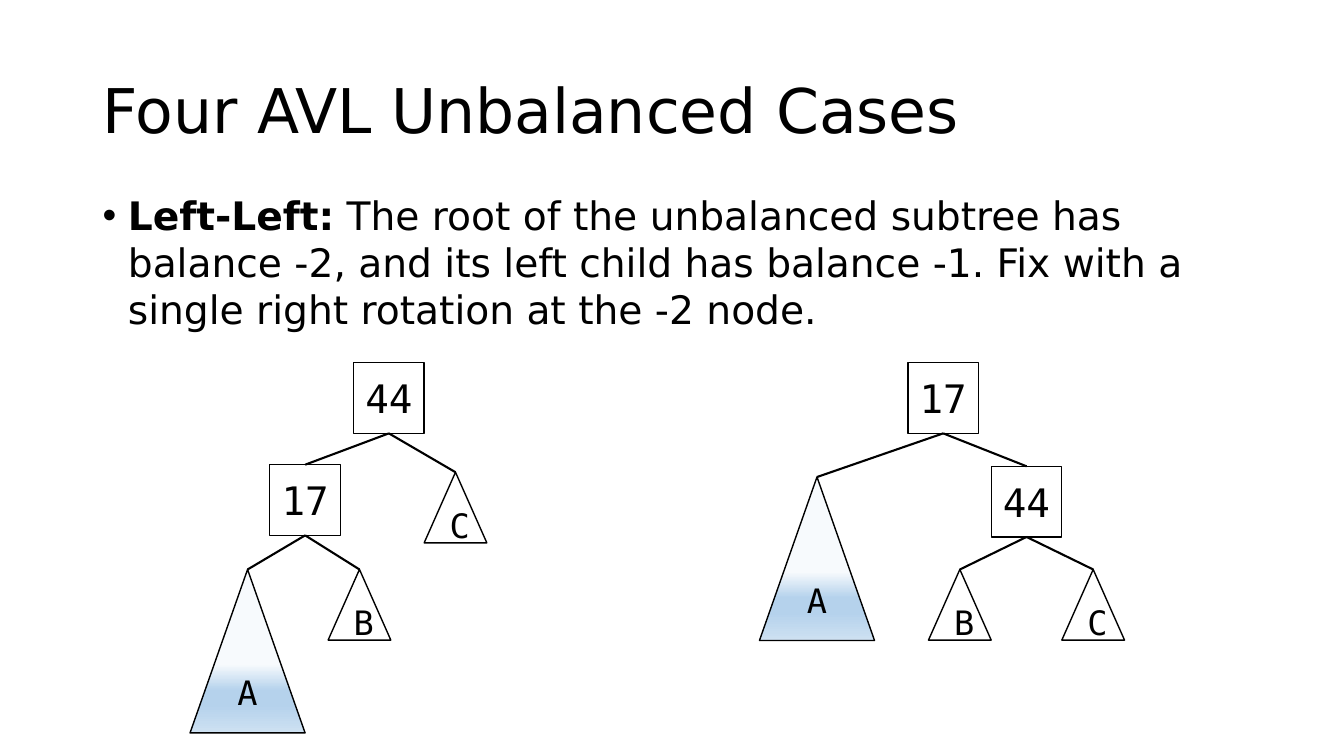
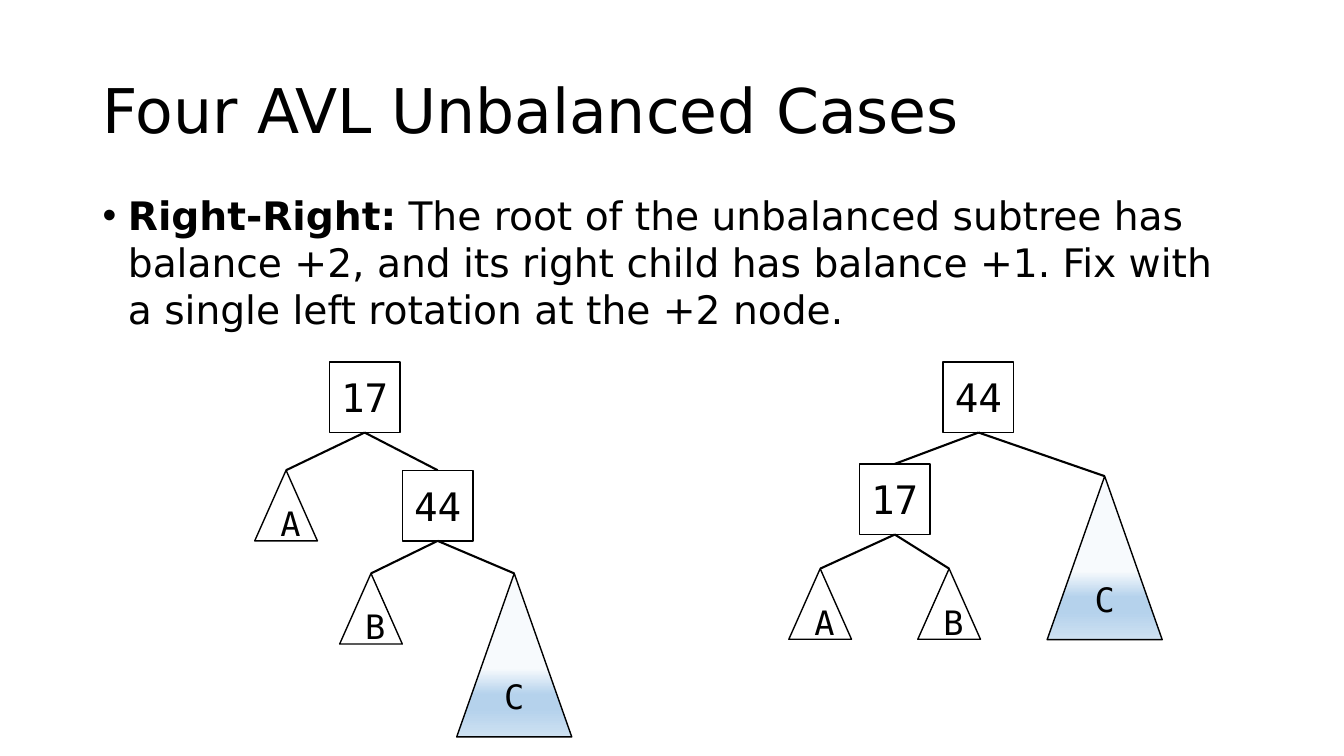
from copy import deepcopy
from dataclasses import dataclass

from lxml.etree import SubElement
from pptx import Presentation
from pptx.dml.color import RGBColor
from pptx.enum.shapes import MSO_CONNECTOR as Connector, MSO_SHAPE as Preset
from pptx.enum.text import MSO_ANCHOR as Anchor, MSO_AUTO_SIZE as AutoSize, PP_ALIGN as Align
from pptx.oxml.ns import qn
from pptx.util import Cm, Pt

BLACK = "000000"
TEXT_FONT, NODE_FONT = "DejaVu Sans", "DejaVu Sans Mono"
TITLE = "Four AVL Unbalanced Cases"
TITLE_BOX = (2.33, 1.01, 29.21, 3.68)
BODY_BOX = (2.33, 4.69, 29.21, 12.09)
BULLET_INDENT = 0.64
DEEP_GRADIENT = ((0.58, "F7FAFD"), (0.74, "B5D2EC"), (0.83, "B5D2EC"), (1, "CEE1F2"))
BOTTOM_SITE, TOP_SITE = 2, 0


@dataclass
class Kind:
    preset: Preset
    width: float
    height: float
    size: int
    gradient: tuple = ()


KEY = Kind(Preset.RECTANGLE, 1.78, 1.78, 28)
SUBTREE = Kind(Preset.ISOSCELES_TRIANGLE, 1.58, 1.78, 24)
DEEP_SUBTREE = Kind(Preset.ISOSCELES_TRIANGLE, 2.9, 4.12, 24, DEEP_GRADIENT)


@dataclass
class Node:
    """A tree node; dx and dy lead from the parent's bottom to this node's top."""
    label: str
    kind: Kind
    dx: float = 0
    dy: float = 0
    children: tuple = ()


def color(hex_code):
    return RGBColor.from_string(hex_code)


def style_font(font, name, size):
    font.name, font.size, font.color.rgb = name, Pt(size), color(BLACK)


def move(shape, box):
    shape.left, shape.top, shape.width, shape.height = map(Cm, box)


def fill_gradient(shape, stops):
    shape.fill.gradient()
    shape.fill.gradient_angle = 270
    stop_list = shape.element.spPr.find(qn("a:gradFill")).find(qn("a:gsLst"))
    for _ in range(len(stops) - len(stop_list)):
        stop_list.append(deepcopy(stop_list[0]))
    for stop, (position, hex_code) in zip(shape.fill.gradient_stops, stops):
        stop.position, stop.color.rgb = position, color(hex_code)


def draw_node(shapes, node, center, top):
    kind = node.kind
    shape = shapes.add_shape(kind.preset, Cm(center - kind.width / 2), Cm(top),
                             Cm(kind.width), Cm(kind.height))
    shape.shadow.inherit = False
    if kind.gradient:
        fill_gradient(shape, kind.gradient)
    else:
        shape.fill.background()
    shape.line.color.rgb, shape.line.width = color(BLACK), Pt(1)
    frame = shape.text_frame
    frame.text = node.label
    frame.vertical_anchor = Anchor.MIDDLE
    para = frame.paragraphs[0]
    para.alignment = Align.CENTER
    style_font(para.runs[0].font, NODE_FONT, kind.size)
    return shape


def draw_edge(shapes, parent, child):
    edge = shapes.add_connector(Connector.STRAIGHT, 0, 0, 0, 0)
    edge.begin_connect(parent, BOTTOM_SITE)
    edge.end_connect(child, TOP_SITE)
    edge.line.color.rgb, edge.line.width = color(BLACK), Pt(1.5)
    SubElement(edge.element.spPr, qn("a:effectLst"))


def draw_tree(shapes, node, center, top):
    """Draw a node and everything below it; center and top place the node."""
    shape = draw_node(shapes, node, center, top)
    bottom = top + node.kind.height
    for child in node.children:
        child_shape = draw_tree(shapes, child, center + child.dx, bottom + child.dy)
        draw_edge(shapes, shape, child_shape)
    return shape


def write_title(title):
    move(title, TITLE_BOX)
    frame = title.text_frame
    frame.text = TITLE
    frame.vertical_anchor = Anchor.MIDDLE
    para = frame.paragraphs[0]
    para.alignment, para.line_spacing = Align.LEFT, 0.9
    style_font(para.runs[0].font, TEXT_FONT, 44)


def write_rule(body, name, rule):
    move(body, BODY_BOX)
    frame = body.text_frame
    frame.auto_size = AutoSize.NONE
    para = frame.paragraphs[0]
    para.space_before, para.space_after = Pt(10), Pt(12)
    properties = para._p.get_or_add_pPr()
    properties.set("marL", str(Cm(BULLET_INDENT)))
    properties.set("indent", str(-Cm(BULLET_INDENT)))
    for text, bold in ((name, True), (rule, False)):
        span = para.add_run()
        span.text = text
        style_font(span.font, TEXT_FONT, 28)
        span.font.bold = bold


def add_case(deck, name, rule, trees):
    page = deck.slides.add_slide(deck.slide_layouts[1])
    write_title(page.shapes.title)
    write_rule(page.placeholders[1], name, rule)
    for root, center, top in trees:
        draw_tree(page.shapes.add_group_shape().shapes, root, center, top)


LEFT_HEAVY = Node("44", KEY, children=(
    Node("17", KEY, -2.11, 0.79, (
        Node("A", DEEP_SUBTREE, -1.45, 0.86),
        Node("B", SUBTREE, 1.37, 0.86))),
    Node("C", SUBTREE, 1.68, 0.98)))
ROTATED_RIGHT = Node("17", KEY, children=(
    Node("A", DEEP_SUBTREE, -3.18, 1.1),
    Node("44", KEY, 2.1, 0.83, (
        Node("B", SUBTREE, -1.68, 0.82),
        Node("C", SUBTREE, 1.68, 0.82)))))
RIGHT_HEAVY = Node("17", KEY, children=(
    Node("A", SUBTREE, -1.98, 0.95),
    Node("44", KEY, 1.84, 0.95, (
        Node("B", SUBTREE, -1.68, 0.82),
        Node("C", DEEP_SUBTREE, 1.93, 0.82)))))
ROTATED_LEFT = Node("44", KEY, children=(
    Node("17", KEY, -2.11, 0.79, (
        Node("A", SUBTREE, -1.88, 0.86),
        Node("B", SUBTREE, 1.37, 0.86))),
    Node("C", DEEP_SUBTREE, 3.18, 1.1)))

CASES = (
    ("Left-Left:",
     " The root of the unbalanced subtree has balance -2, and its left child has "
     "balance -1. Fix with a single right rotation at the -2 node.",
     ((LEFT_HEAVY, 9.8, 9.14), (ROTATED_RIGHT, 23.77, 9.14))),
    ("Right-Right:",
     " The root of the unbalanced subtree has balance +2, and its right child has "
     "balance +1. Fix with a single left rotation at the +2 node.",
     ((RIGHT_HEAVY, 9.19, 9.12), (ROTATED_LEFT, 24.66, 9.12))),
)


def main():
    deck = Presentation()
    deck.slide_width, deck.slide_height = Cm(33.87), Cm(19.05)
    for case in CASES:
        add_case(deck, *case)
    deck.save("out.pptx")


if __name__ == "__main__":
    main()
